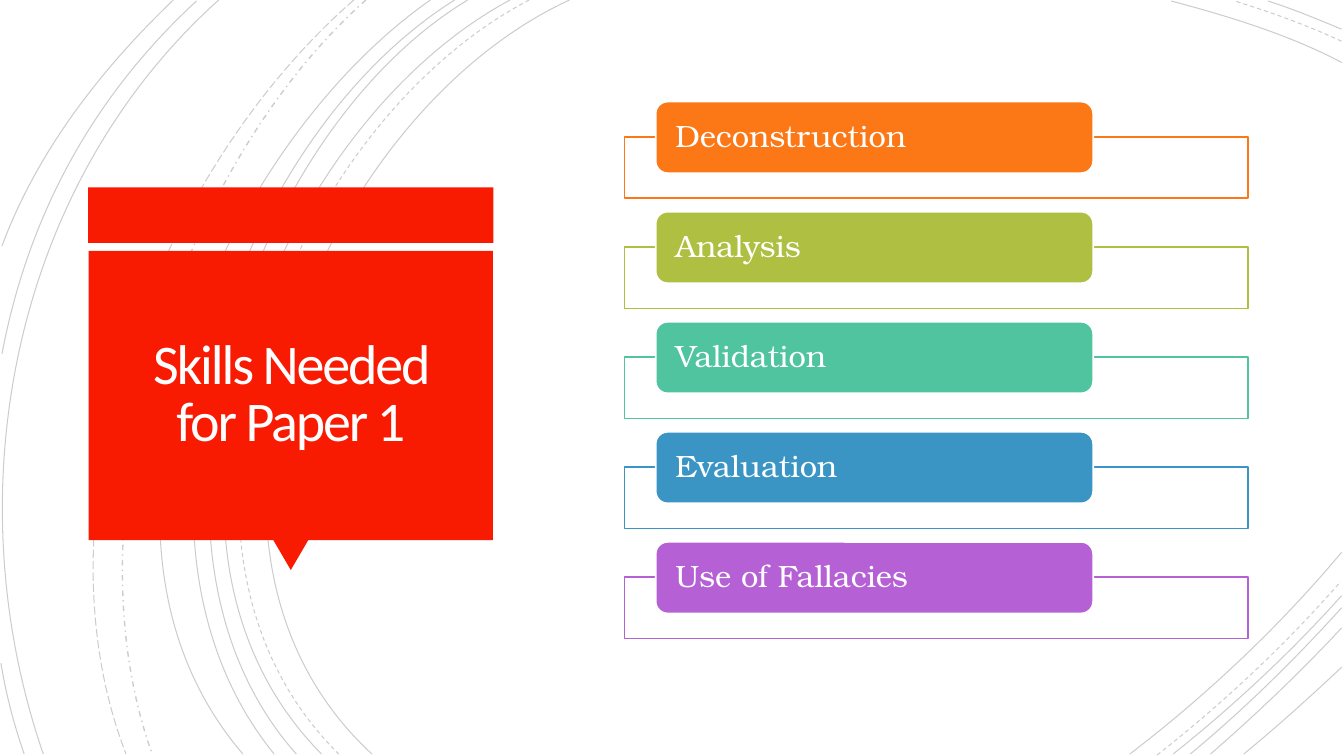
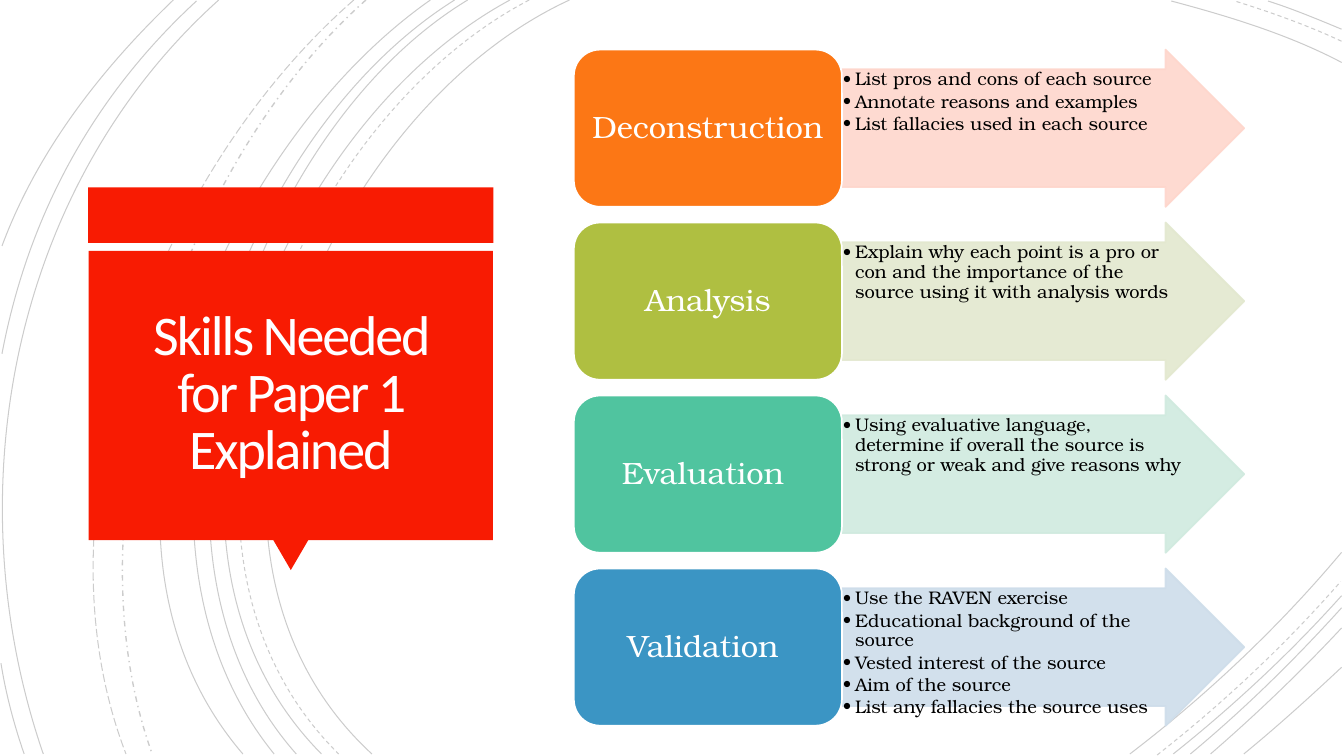
from lxml import etree
from pptx import Presentation
from pptx.dml.color import RGBColor
from pptx.enum.dml import MSO_LINE
from pptx.enum.shapes import MSO_SHAPE
from pptx.enum.text import MSO_ANCHOR, PP_ALIGN
from pptx.oxml.ns import qn
from pptx.util import Inches, Pt

RECT, ROUND = MSO_SHAPE.RECTANGLE, MSO_SHAPE.ROUNDED_RECTANGLE
ARROW, TRIANGLE = MSO_SHAPE.RIGHT_ARROW, MSO_SHAPE.ISOSCELES_TRIANGLE
TOP, MIDDLE = MSO_ANCHOR.TOP, MSO_ANCHOR.MIDDLE
LEFT, CENTER = PP_ALIGN.LEFT, PP_ALIGN.CENTER
SOLID, DASH = MSO_LINE.SOLID, MSO_LINE.DASH
DASH_DOT, LONG_DASH = MSO_LINE.DASH_DOT, MSO_LINE.LONG_DASH

CELL = Inches(0.1)
COLS, ROWS = 400 / 3, 75

RED, WHITE, BLACK = "F81B02", "FFFFFF", "000000"
ORANGE, OLIVE, GREEN, BLUE, PURPLE = "FC7715", "AFBF41", "50C49F", "3B95C4", "B560D4"
HEADING_FONT, BODY_FONT = "Calibri", "TeX Gyre Bonum"

ARCS = [
    (SOLID, (56.5, 0), (31.5, 11.5), (14.3, 54), (36.9, 74.8)),
    (SOLID, (133.1, 6.2), (127.8, 3.4), (121.8, 1.6), (116.2, 0.1)),
    (SOLID, (112.1, 74.8), (119.7, 69), (126.9, 62.2), (133.1, 54.8)),
    (DASH, (52.5, 0), (28.5, 12.5), (12.3, 53.7), (33.6, 74.8)),
    (DASH, (133.1, 4.1), (129.7, 2.5), (126, 1.2), (122.5, 0.1)),
    (DASH, (114.8, 74.9), (121.3, 69.8), (127.5, 64), (133, 57.7)),
    (SOLID, (50.6, 0), (27, 12.7), (11, 53.7), (31.9, 74.8)),
    (SOLID, (133.1, 2.9), (130.7, 1.9), (128.3, 0.9), (125.8, 0.1)),
    (SOLID, (116.4, 74.8), (122.3, 70.1), (128, 64.8), (133.1, 59.1)),
    (SOLID, (46.4, 0), (24.4, 13.3), (11, 54.1), (29.4, 74.8)),
    (SOLID, (118.1, 74.8), (123.4, 70.4), (128.4, 65.5), (133.1, 60.3)),
    (SOLID, (45.1, 0), (23.1, 13.8), (9.7, 53.3), (27.2, 74.8)),
    (SOLID, (120.1, 74.8), (124.6, 70.9), (129, 66.7), (133.1, 62.3)),
    (SOLID, (42.7, 0), (21.7, 14.7), (5.3, 52.9), (24.1, 74.8)),
    (SOLID, (123.4, 74.8), (126.7, 72.1), (129.9, 69.2), (133.1, 66.2)),
    (DASH_DOT, (36.3, 0), (17.6, 16.6), (6.5, 50.9), (15.1, 74.8)),
    (LONG_DASH, (35.1, 0), (15.7, 16.9), (2.9, 49.9), (12.5, 74.8)),
    (SOLID, (21.7, 0), (1.1, 18.5), (-4.6, 49), (4.3, 74.8)),
    (SOLID, (19.5, 0.1), (9.2, 9.6), (2.8, 21.4), (0.2, 35.1)),
    (SOLID, (0.1, 65.8), (0.6, 68.9), (1.4, 71.9), (2.4, 74.8)),
    (SOLID, (17.2, 0), (10, 6.9), (3.7, 15), (0.2, 24.4)),
]

SKILLS = [
    ("Deconstruction", ORANGE),
    ("Analysis", OLIVE),
    ("Validation", GREEN),
    ("Evaluation", BLUE),
    ("Use of Fallacies", PURPLE),
]

STEPS = [
    ("Deconstruction", ORANGE, "FED6CC", [
        "List pros and cons of each source ",
        "Annotate reasons and examples",
        "List fallacies used in each source",
    ]),
    ("Analysis", OLIVE, "E3E8CF", [
        "Explain why each point is a pro or con and the importance of the "
        "source using it with analysis words",
    ]),
    ("Evaluation ", GREEN, "D0EADF", [
        "Using evaluative language, determine if overall the source is "
        "strong or weak and give reasons why",
    ]),
    ("Validation ", BLUE, "CEDDEA", [
        "Use the RAVEN exercise",
        "Educational background of the source",
        "Vested interest of the source",
        "Aim of the source",
        "List any fallacies the source uses",
    ]),
]


def grid(cells):
    return round(cells * CELL)


def paint(fill, colour, alpha=100):
    fill.solid()
    fill.fore_color.rgb = RGBColor.from_string(colour)
    if alpha < 100:
        clr = fill._xPr.find(qn("a:solidFill")).find(qn("a:srgbClr"))
        etree.SubElement(clr, qn("a:alpha"), val=str(alpha * 1000))


def write(tf, lines, *, font=BODY_FONT, size=22, colour=WHITE, align=LEFT, anchor=MIDDLE,
          inset=(0, 0), leading=0.9, after=0, tracking=0, bullet=False):
    tf.word_wrap = True
    tf.vertical_anchor = anchor
    tf.margin_left = tf.margin_right = grid(inset[0])
    tf.margin_top = tf.margin_bottom = grid(inset[1])
    for i, line in enumerate(lines):
        p = tf.add_paragraph() if i else tf.paragraphs[0]
        if bullet:
            pPr = p._p.get_or_add_pPr()
            pPr.set("marL", str(grid(1.2)))
            pPr.set("indent", str(-grid(1.2)))
            etree.SubElement(pPr, qn("a:buFont"), typeface=font)
            etree.SubElement(pPr, qn("a:buChar"), char="•")
        p.alignment = align
        p.line_spacing = leading
        p.space_after = Pt(after)
        r = p.add_run()
        r.text = line
        r.font.name, r.font.size = font, Pt(size)
        r.font.color.rgb = RGBColor.from_string(colour)
        if tracking:
            r._r.get_or_add_rPr().set("spc", str(round(tracking * 100)))


class Deck:
    """Holds the presentation, its shared style and the current slide."""

    def __init__(self):
        self.prs = Presentation()
        self.prs.slide_width, self.prs.slide_height = grid(COLS), grid(ROWS)
        self.s = None

    def slide(self, title):
        self.s = self.prs.slides.add_slide(self.prs.slide_layouts[6])
        for dash, *points in ARCS:
            self.arc(dash, points)
        self.title_card(title)

    def arc(self, dash, points):
        start, *rest = [(grid(x), grid(y)) for x, y in points]
        outline = self.s.shapes.build_freeform(*start)
        outline.add_line_segments(rest, close=False)
        sp = outline.convert_to_shape()
        segments = list(sp._element.iter(qn("a:lnTo")))
        curve = etree.SubElement(segments[0].getparent(), qn("a:cubicBezTo"))
        for segment in segments:
            curve.append(segment[0])
            segment.getparent().remove(segment)
        sp.shadow.inherit = False
        sp.fill.background()
        paint(sp.line.fill, BLACK, 20)
        sp.line.width = Pt(1 if dash == DASH_DOT else 0.75)
        sp.line.dash_style = dash

    def shape(self, kind, x, y, w, h, fill, line=None, alpha=100, line_alpha=100):
        sp = self.s.shapes.add_shape(kind, grid(x), grid(y), grid(w), grid(h))
        sp.shadow.inherit = False
        paint(sp.fill, fill, alpha)
        if line:
            paint(sp.line.fill, line, line_alpha)
            sp.line.width = Pt(1.25)
        else:
            sp.line.fill.background()
        return sp

    def title_card(self, title):
        self.shape(RECT, 8.75, 18.6, 40.2, 5.5, RED)
        self.shape(TRIANGLE, 27.1, 53.55, 3.5, 3, RED).rotation = 180
        card = self.shape(RECT, 8.8, 24.9, 40.1, 28.7, RED)
        write(card.text_frame, [title], font=HEADING_FONT, size=40, colour="FFFEFF",
              align=CENTER, inset=(3.4, 2.5), leading=0.85, tracking=-1.5)

    def skill(self, row, name, colour):
        y = 10.08 + row * 10.92
        self.shape(RECT, 61.95, y + 3.5, 61.9, 6.1, WHITE, colour, alpha=90)
        tab = self.shape(ROUND, 65.05, y, 43.4, 7.1, colour, WHITE)
        write(tab.text_frame, [name], inset=(1.6, 0))

    def step(self, row, name, colour, tint, points):
        height = 15.6
        y = 4.92 + row * height * 1.1
        arrow = self.shape(ARROW, 83.53, y, 39.9, height, tint, tint, alpha=90, line_alpha=90)
        arrow.adjustments[0], arrow.adjustments[1] = 0.75, 0.5
        write(arrow.text_frame, points, size=13, colour=BLACK, anchor=TOP,
              inset=(0.1, 0.1), after=1.8, bullet=True)
        label = self.shape(ROUND, 56.93, y, 26.6, height, colour, WHITE)
        write(label.text_frame, [name], align=CENTER, inset=(0.9, 0.5))


def main():
    deck = Deck()
    deck.slide("Skills Needed for Paper 1")
    for row, skill in enumerate(SKILLS):
        deck.skill(row, *skill)
    deck.slide("Skills Needed for Paper 1 Explained")
    for row, step in enumerate(STEPS):
        deck.step(row, *step)
    deck.prs.save("out.pptx")


if __name__ == "__main__":
    main()
